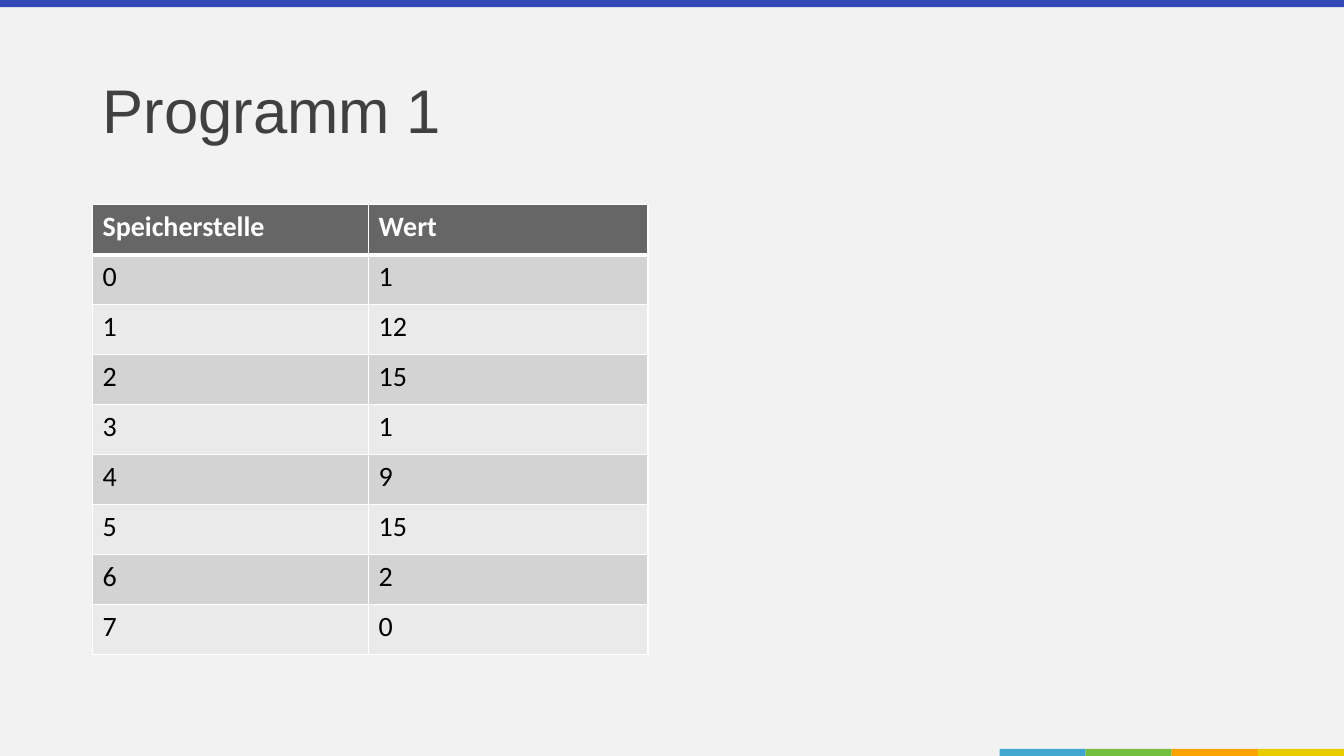
from dataclasses import dataclass

from lxml.etree import SubElement
from pptx import Presentation
from pptx.dml.color import RGBColor
from pptx.enum.shapes import MSO_SHAPE
from pptx.enum.text import MSO_ANCHOR, PP_ALIGN
from pptx.oxml.ns import qn
from pptx.util import Cm, Pt

# Content
HEADING = "Programm 1"
COLUMNS = ("Speicherstelle", "Wert")
VALUES = (1, 12, 15, 1, 9, 15, 2, 0)


@dataclass(frozen=True)
class Theme:
    background: str = "F2F2F2"
    top_bar: str = "3248B5"
    accents: tuple = ("41A7D1", "74BF3D", "FBA300", "E8CC00")
    heading: str = "404040"
    header_fill: str = "666666"
    header_text: str = "FFFFFF"
    bands: tuple = ("D3D3D3", "EAEAEA")
    text: str = "000000"
    border: str = "FFFFFF"
    heading_font: str = "Arial"
    table_font: str = "Calibri"
    heading_size: int = 44
    table_size: int = 20


THEME = Theme()

# Layout in centimetres
SLIDE_WIDTH, SLIDE_HEIGHT = 33.87, 19.05
BAR_HEIGHT = 0.18
ACCENT_WIDTH = 2.17
LEFT = 2.33
HEADING_TOP, HEADING_WIDTH, HEADING_HEIGHT = 1.01, 29.21, 3.68
TABLE_TOP, ROW_HEIGHT = 5.16, 1.26
COLUMN_WIDTHS = (6.96, 7.04)


def add_bar(slide, left, top, width, color):
    bar = slide.shapes.add_shape(
        MSO_SHAPE.RECTANGLE, Cm(left), Cm(top), Cm(width), Cm(BAR_HEIGHT))
    bar.shadow.inherit = False
    bar.fill.solid()
    bar.fill.fore_color.rgb = RGBColor.from_string(color)
    bar.line.fill.background()


def style_font(font, name, size, color, bold=False):
    font.name = name
    font.size = Pt(size)
    font.bold = bold
    font.color.rgb = RGBColor.from_string(color)


def set_borders(cell, top, bottom):
    properties = cell._tc.get_or_add_tcPr()
    for side, points in (("L", 1), ("R", 1), ("T", top), ("B", bottom)):
        line = SubElement(properties, qn(f"a:ln{side}"), w=str(Pt(points)))
        fill = SubElement(line, qn("a:solidFill"))
        SubElement(fill, qn("a:srgbClr"), val=THEME.border)


def add_memory_table(slide):
    rows = [COLUMNS, *enumerate(VALUES)]
    memory = slide.shapes.add_table(
        len(rows), len(COLUMNS), Cm(LEFT), Cm(TABLE_TOP),
        Cm(sum(COLUMN_WIDTHS)), Cm(ROW_HEIGHT * len(rows))).table
    for column, width in zip(memory.columns, COLUMN_WIDTHS):
        column.width = Cm(width)
    for r, row in enumerate(rows):
        memory.rows[r].height = Cm(ROW_HEIGHT)
        is_header = r == 0
        fill = THEME.header_fill if is_header else THEME.bands[(r - 1) % 2]
        color = THEME.header_text if is_header else THEME.text
        for c, entry in enumerate(row):
            cell = memory.cell(r, c)
            set_borders(cell, top=3 if r == 1 else 1, bottom=3 if is_header else 1)
            cell.fill.solid()
            cell.fill.fore_color.rgb = RGBColor.from_string(fill)
            cell.text = str(entry)
            style_font(cell.text_frame.paragraphs[0].font, THEME.table_font,
                       THEME.table_size, color, bold=is_header)


def main():
    prs = Presentation()
    prs.slide_width, prs.slide_height = Cm(SLIDE_WIDTH), Cm(SLIDE_HEIGHT)
    slide = prs.slides.add_slide(prs.slide_layouts[5])
    slide.background.fill.solid()
    slide.background.fill.fore_color.rgb = RGBColor.from_string(THEME.background)

    # Bars along the top and bottom edges
    add_bar(slide, 0, 0, SLIDE_WIDTH, THEME.top_bar)
    accents_left = SLIDE_WIDTH - ACCENT_WIDTH * len(THEME.accents)
    for i, color in enumerate(THEME.accents):
        add_bar(slide, accents_left + i * ACCENT_WIDTH,
                SLIDE_HEIGHT - BAR_HEIGHT, ACCENT_WIDTH, color)

    # Heading
    heading = slide.shapes.title
    heading.left, heading.top = Cm(LEFT), Cm(HEADING_TOP)
    heading.width, heading.height = Cm(HEADING_WIDTH), Cm(HEADING_HEIGHT)
    heading.text_frame.text = HEADING
    heading.text_frame.vertical_anchor = MSO_ANCHOR.MIDDLE
    paragraph = heading.text_frame.paragraphs[0]
    paragraph.alignment = PP_ALIGN.LEFT
    paragraph.line_spacing = 0.9
    style_font(paragraph.font, THEME.heading_font, THEME.heading_size, THEME.heading)

    # Memory contents
    add_memory_table(slide)
    prs.save("out.pptx")


if __name__ == "__main__":
    main()
